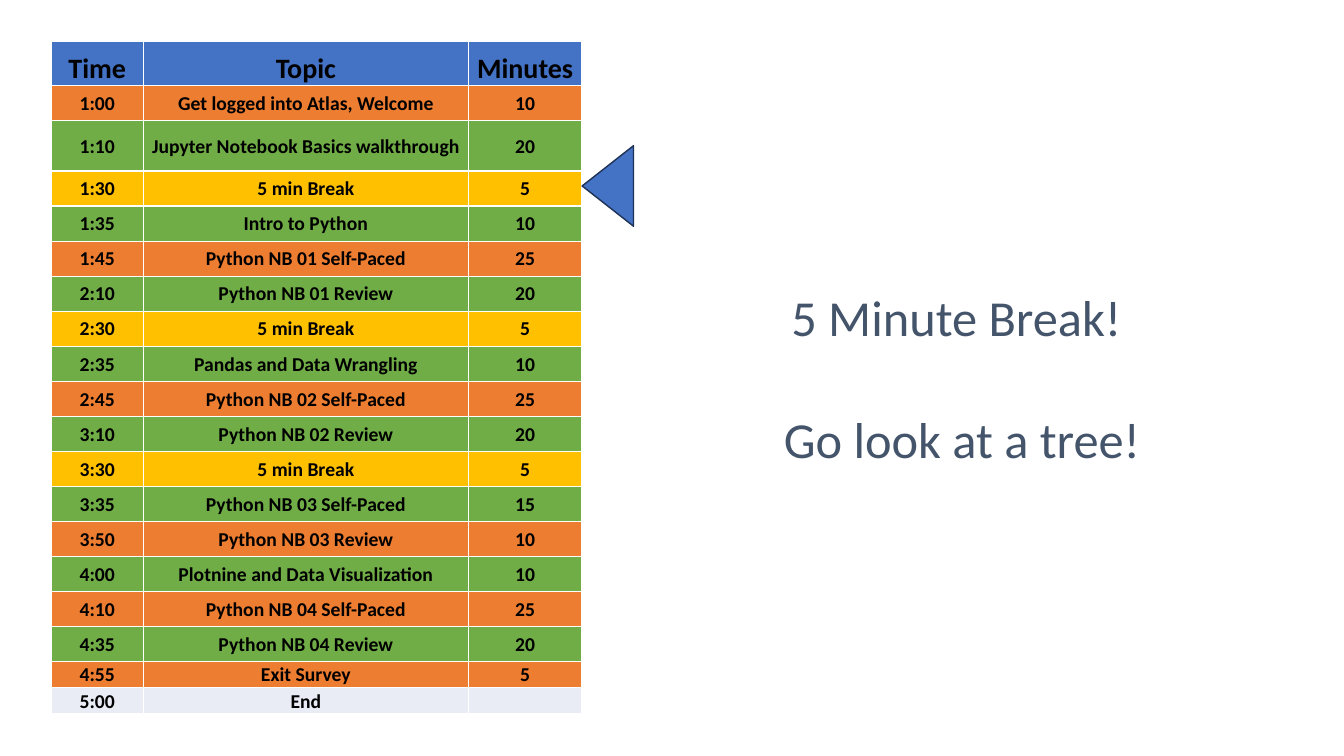
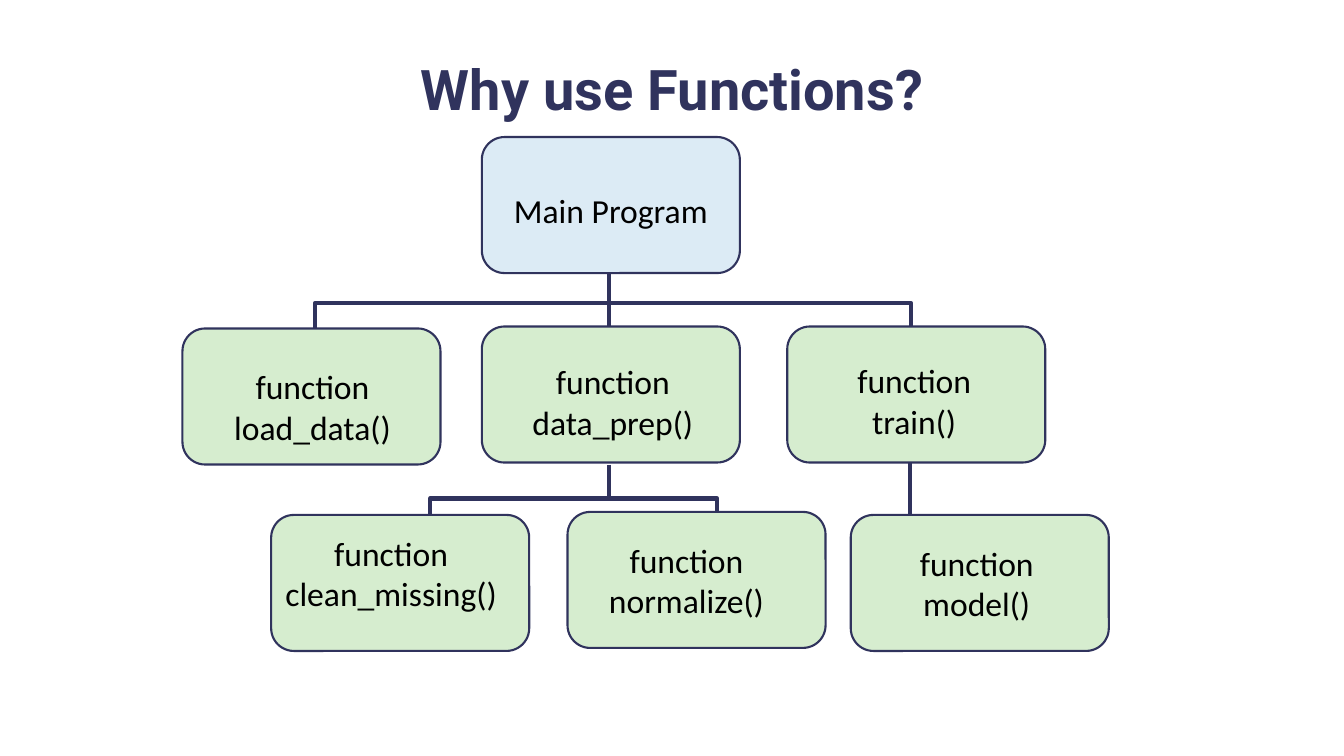
"""Build a workshop break slide and a slide on why functions are used."""
import lxml.etree
import pptx
import pptx.dml.color
import pptx.enum.shapes
import pptx.enum.text
import pptx.oxml.ns
import pptx.util

COLUMNS = 40
SLIDE_WIDTH = pptx.util.Inches(13.33)
SLIDE_HEIGHT = pptx.util.Inches(7.5)

NAVY, BLUE, SLATE, BLACK = "30335D", "4472C4", "44546A", "000000"
PALE_BLUE, PALE_GREEN = "DCEBF5", "D6EDCF"
KIND_FILLS = {"practice": "ED7D31", "lesson": "70AD47", "break": "FFC000",
              "end": "E9EBF5"}

CENTER = pptx.enum.text.PP_ALIGN.CENTER
MIDDLE = pptx.enum.text.MSO_ANCHOR.MIDDLE
BOTTOM = pptx.enum.text.MSO_ANCHOR.BOTTOM
SHAPES = pptx.enum.shapes.MSO_SHAPE

TITLE_LOOK = {"name": "Roboto", "size": pptx.util.Pt(40), "bold": True}
HEADER_LOOK = {"name": "Calibri", "size": pptx.util.Pt(20), "bold": True}
CELL_LOOK = {**HEADER_LOOK, "size": pptx.util.Pt(14)}
MESSAGE_LOOK = {"name": "Calibri", "size": pptx.util.Pt(36)}
NODE_LOOK = {"name": "Calibri", "size": pptx.util.Pt(24)}

AGENDA = [
    ("1:00", "Get logged into Atlas, Welcome", "10", "practice"),
    ("1:10", "Jupyter Notebook Basics walkthrough", "20", "lesson"),
    ("1:30", "5 min Break", "5", "break"),
    ("1:35", "Intro to Python", "10", "lesson"),
    ("1:45", "Python NB 01 Self-Paced", "25", "practice"),
    ("2:10", "Python NB 01 Review", "20", "lesson"),
    ("2:30", "5 min Break", "5", "break"),
    ("2:35", "Pandas and Data Wrangling", "10", "lesson"),
    ("2:45", "Python NB 02 Self-Paced", "25", "practice"),
    ("3:10", "Python NB 02 Review", "20", "lesson"),
    ("3:30", "5 min Break", "5", "break"),
    ("3:35", "Python NB 03 Self-Paced", "15", "lesson"),
    ("3:50", "Python NB 03 Review", "10", "practice"),
    ("4:00", "Plotnine and Data Visualization", "10", "lesson"),
    ("4:10", "Python NB 04 Self-Paced", "25", "practice"),
    ("4:35", "Python NB 04 Review", "20", "lesson"),
    ("4:55", "Exit Survey", "5", "practice"),
    ("5:00", "End", "", "end"),
]
AGENDA_WIDTHS = (2.73, 9.69, 3.36)
AGENDA_HEIGHT = 20.04
SPECIAL_HEIGHTS = {0: 1.32, 2: 1.5, 17: 0.78, 18: 0.78}

NODE_SIZE = (7.68, 4.05)
NODES = [
    (["Main Program"], (14.34, 4.08), (0, 0.15), PALE_BLUE),
    (["function", "load_data()"], (5.43, 9.78), (0.03, 0.3), PALE_GREEN),
    (["function", "data_prep()"], (14.34, 9.72), (0.06, 0.21), PALE_GREEN),
    (["function", "train()"], (23.43, 9.72), (-0.06, 0.18), PALE_GREEN),
    (["function", "clean_missing()"], (8.07, 15.33), (-0.27, -0.3), PALE_GREEN),
    (["function", "normalize()"], (16.89, 15.24), (-0.3, 0), PALE_GREEN),
    (["function", "model()"], (25.32, 15.33), (-0.09, 0), PALE_GREEN),
]
STEMS = [(18.12, 8.16, 10.14), (18.12, 13.83, 14.76), (27.09, 13.47, 15.45)]
BRACKETS = [(9.38, 9.02, 17.73), (12.8, 14.84, 8.55)]
BRACKET_DROP = 0.78


def grid(*counts):
    """Turn counts of square grid cells into slide lengths."""
    return [pptx.util.Emu(round(count * SLIDE_WIDTH / COLUMNS)) for count in counts]


def color(code):
    """Return the colour for a hex string."""
    return pptx.dml.color.RGBColor.from_string(code)


def apply_format(target, values):
    """Set each attribute of the target from a dict."""
    for name, value in values.items():
        setattr(target, name, value)


def fill_with(target, code):
    """Give a shape or cell a solid fill."""
    target.fill.solid()
    target.fill.fore_color.rgb = color(code)


def draw_line(target, code, points):
    """Give a shape or connector a solid line."""
    target.line.color.rgb = color(code)
    target.line.width = pptx.util.Pt(points)


def write_lines(frame, lines, look, code, **layout):
    """Write centred paragraphs with one look into a text frame."""
    for index, line in enumerate(lines):
        para = frame.paragraphs[0] if index == 0 else frame.add_paragraph()
        apply_format(para, {"alignment": CENTER, **layout})
        if index == 0:
            para.space_before = pptx.util.Pt(0)
        if line:
            span = para.add_run()
            span.text = line
            apply_format(span.font, look)
            span.font.color.rgb = color(code)
        else:
            mark = lxml.etree.SubElement(para._p, pptx.oxml.ns.qn("a:endParaRPr"))
            mark.set("sz", str(round(look["size"].pt * 100)))


def add_preset(page, preset, left, top, width, height):
    """Add a preset shape without a shadow."""
    shape = page.shapes.add_shape(preset, *grid(left, top, width, height))
    shape.shadow.inherit = False
    return shape


def add_title(page, text):
    """Place and style the slide title."""
    title = page.shapes.title
    bounds = grid(0, 1.86, COLUMNS, 1.77)
    apply_format(title, dict(zip(("left", "top", "width", "height"), bounds)))
    title.text_frame.vertical_anchor = MIDDLE
    write_lines(title.text_frame, [text], TITLE_LOOK, NAVY, line_spacing=0.9)


def add_agenda(page):
    """Add the timetable, with rows coloured by kind of session."""
    rows = [("Time", "Topic", "Minutes", None), *AGENDA]
    bounds = grid(1.53, 1.23, sum(AGENDA_WIDTHS), AGENDA_HEIGHT)
    table = page.shapes.add_table(len(rows), len(AGENDA_WIDTHS), *bounds).table
    apply_format(table, {"first_row": False, "horz_banding": False})
    for column, width in zip(table.columns, grid(*AGENDA_WIDTHS)):
        column.width = width
    spare = AGENDA_HEIGHT - sum(SPECIAL_HEIGHTS.values())
    usual = spare / (len(rows) - len(SPECIAL_HEIGHTS))
    inset = grid(0.03)[0]
    for index, (*texts, kind) in enumerate(rows):
        table.rows[index].height = grid(SPECIAL_HEIGHTS.get(index, usual))[0]
        for cell, text in zip(table.rows[index].cells, texts):
            apply_format(cell, {
                "margin_left": inset, "margin_right": inset, "margin_top": inset,
                "margin_bottom": 0, "vertical_anchor": MIDDLE if kind else BOTTOM})
            fill_with(cell, KIND_FILLS.get(kind, BLUE))
            look = CELL_LOOK if kind else HEADER_LOOK
            write_lines(cell.text_frame, [text], look, BLACK)


def add_pointer(page):
    """Add the triangle that points at the current session."""
    pointer = add_preset(page, SHAPES.ISOSCELES_TRIANGLE, 16.89, 4.77, 2.4, 1.53)
    pointer.rotation = 270
    fill_with(pointer, BLUE)
    draw_line(pointer, "1E3256", 1)


def add_message(page, lines):
    """Add the large message beside the timetable."""
    box = page.shapes.add_textbox(*grid(22.68, 8.37, 11.91, 5.76))
    box.text_frame.word_wrap = True
    write_lines(box.text_frame, lines, MESSAGE_LOOK, SLATE,
                space_before=pptx.util.Pt(44))


def add_stem(page, across, top, bottom):
    """Add a vertical line between two levels."""
    straight = pptx.enum.shapes.MSO_CONNECTOR.STRAIGHT
    stem = page.shapes.add_connector(straight, *grid(across, top, across, bottom))
    draw_line(stem, NAVY, 3)
    lxml.etree.SubElement(stem._element.spPr, pptx.oxml.ns.qn("a:effectLst"))


def add_bracket(page, left, top, width):
    """Add a square bracket that opens downwards."""
    turn = (width - BRACKET_DROP) / 2
    bracket = add_preset(page, SHAPES.LEFT_BRACKET, left + turn, top - turn,
                         BRACKET_DROP, width)
    bracket.rotation = 90
    bracket.adjustments[0] = 0
    bracket.fill.background()
    draw_line(bracket, NAVY, 3)


def add_node(page, lines, corner, shift, code):
    """Add a rounded box whose label is moved by a shift."""
    node = add_preset(page, SHAPES.ROUNDED_RECTANGLE, *corner, *NODE_SIZE)
    fill_with(node, code)
    draw_line(node, NAVY, 1.5)
    across, down = grid(*(2 * length for length in shift))
    apply_format(node.text_frame, {
        "word_wrap": True, "vertical_anchor": MIDDLE,
        "margin_left": max(across, 0), "margin_right": max(-across, 0),
        "margin_top": max(down, 0), "margin_bottom": max(-down, 0)})
    write_lines(node.text_frame, lines, NODE_LOOK, BLACK)


def build_break(deck):
    """Build the slide for the break."""
    page = deck.slides.add_slide(deck.slide_layouts[6])
    add_agenda(page)
    add_pointer(page)
    add_message(page, ["5 Minute Break! ", "Go look at a tree!"])


def build_functions(deck):
    """Build the slide with the tree of functions."""
    page = deck.slides.add_slide(deck.slide_layouts[5])
    add_title(page, "Why use Functions?")
    for stem in STEMS:
        add_stem(page, *stem)
    for bracket in BRACKETS:
        add_bracket(page, *bracket)
    for node in NODES:
        add_node(page, *node)


def main():
    """Build and save the deck."""
    deck = pptx.Presentation()
    apply_format(deck, {"slide_width": SLIDE_WIDTH, "slide_height": SLIDE_HEIGHT})
    build_break(deck)
    build_functions(deck)
    deck.save("out.pptx")


if __name__ == "__main__":
    main()
